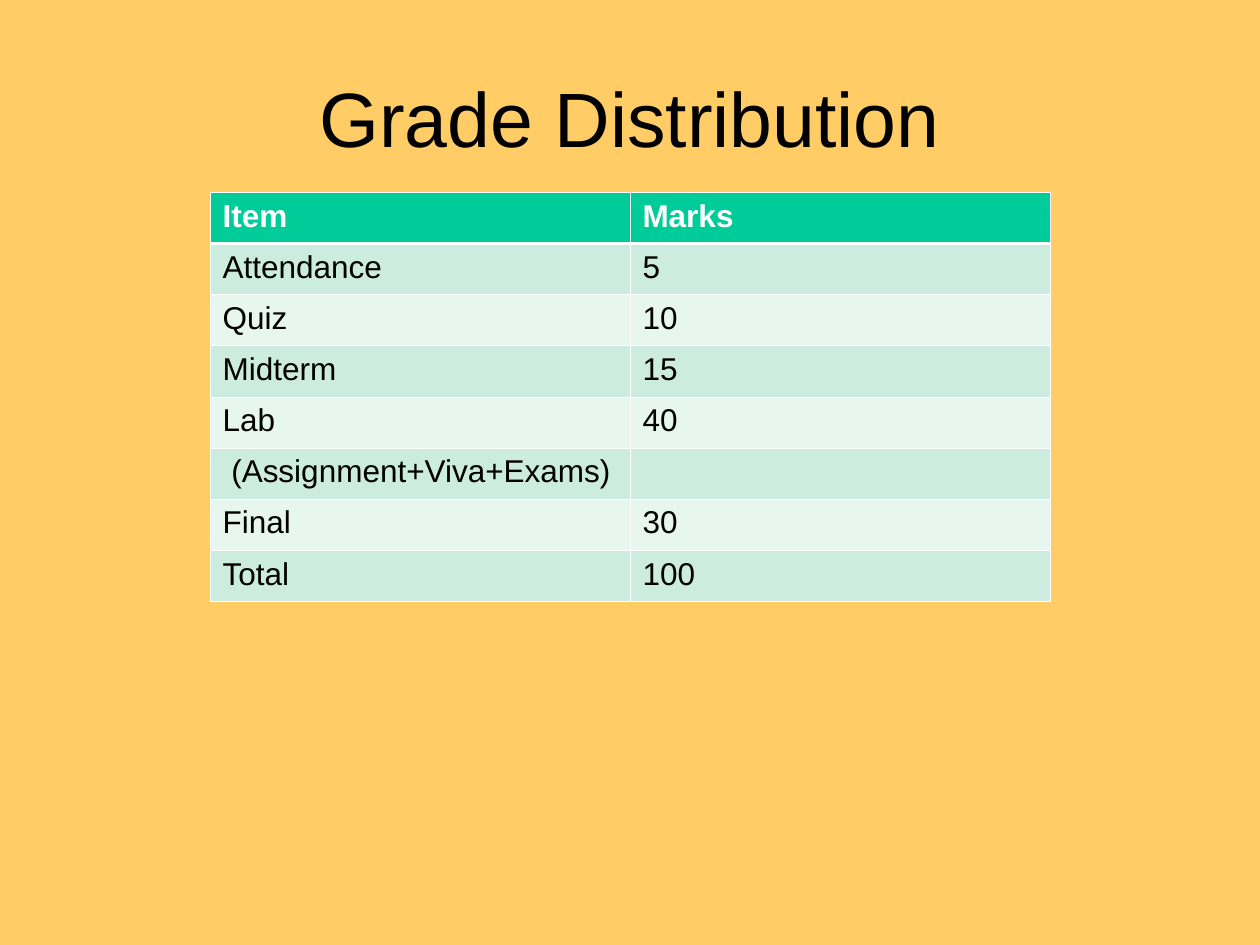
"""Build the grade distribution slide."""
from lxml import etree
from pptx import Presentation
from pptx.dml.color import RGBColor
from pptx.enum.text import MSO_ANCHOR, PP_ALIGN
from pptx.oxml.ns import qn
from pptx.util import Pt

CENTER, LEFT = PP_ALIGN.CENTER, PP_ALIGN.LEFT
MIDDLE = MSO_ANCHOR.MIDDLE

THEME = {
    "font": "Arial",
    "title_size": 44,
    "cell_size": 18,
    "background": "FFCC66",
    "text": "000000",
    "header_text": "FFFFFF",
    "header_fill": "00CC99",
    "bands": ("CBECDE", "E7F6EF"),
    "border": "FFFFFF",
    "thin": 0.45,
    "thick": 1.47,
}
ROWS = [
    ("Item", "Marks"),
    ("Attendance", "5"),
    ("Quiz", "10"),
    ("Midterm", "15"),
    ("Lab", "40"),
    (" (Assignment+Viva+Exams)", ""),
    ("Final", "30"),
    ("Total", "100"),
]


def add_run(p, text, size, color, bold=False):
    r = p.add_run()
    r.text = text
    r.font.name = THEME["font"]
    r.font.size = Pt(size)
    r.font.bold = bold
    r.font.color.rgb = RGBColor.from_string(color)


def add_border(cell, side, width):
    ln = etree.SubElement(cell._tc.get_or_add_tcPr(), qn(f"a:ln{side}"), w=str(Pt(width)))
    fill = etree.SubElement(ln, qn("a:solidFill"))
    etree.SubElement(fill, qn("a:srgbClr"), val=THEME["border"])


prs = Presentation()
prs.slide_width, prs.slide_height = Pt(720), Pt(540)
s = prs.slides.add_slide(prs.slide_layouts[5])
s.background.fill.solid()
s.background.fill.fore_color.rgb = RGBColor.from_string(THEME["background"])

title = s.shapes.title
title.left, title.top, title.width, title.height = Pt(36), Pt(21.6), Pt(648), Pt(90)
tf = title.text_frame
tf.vertical_anchor = MIDDLE
p = tf.paragraphs[0]
p.alignment = CENTER
add_run(p, "Grade Distribution", THEME["title_size"], THEME["text"])

table = s.shapes.add_table(len(ROWS), 2, Pt(120), Pt(110), Pt(480), Pt(233.6)).table
for row, values in enumerate(ROWS):
    table.rows[row].height = Pt(29.2)
    header = row == 0
    fill = THEME["header_fill"] if header else THEME["bands"][(row - 1) % 2]
    color = THEME["header_text"] if header else THEME["text"]
    for col, value in enumerate(values):
        cell = table.cell(row, col)
        for side in "LRTB":
            under_header = (row, side) in ((0, "B"), (1, "T"))
            add_border(cell, side, THEME["thick" if under_header else "thin"])
        cell.fill.solid()
        cell.fill.fore_color.rgb = RGBColor.from_string(fill)
        p = cell.text_frame.paragraphs[0]
        p.alignment = LEFT
        if value:
            add_run(p, value, THEME["cell_size"], color, header)

prs.save("out.pptx")
